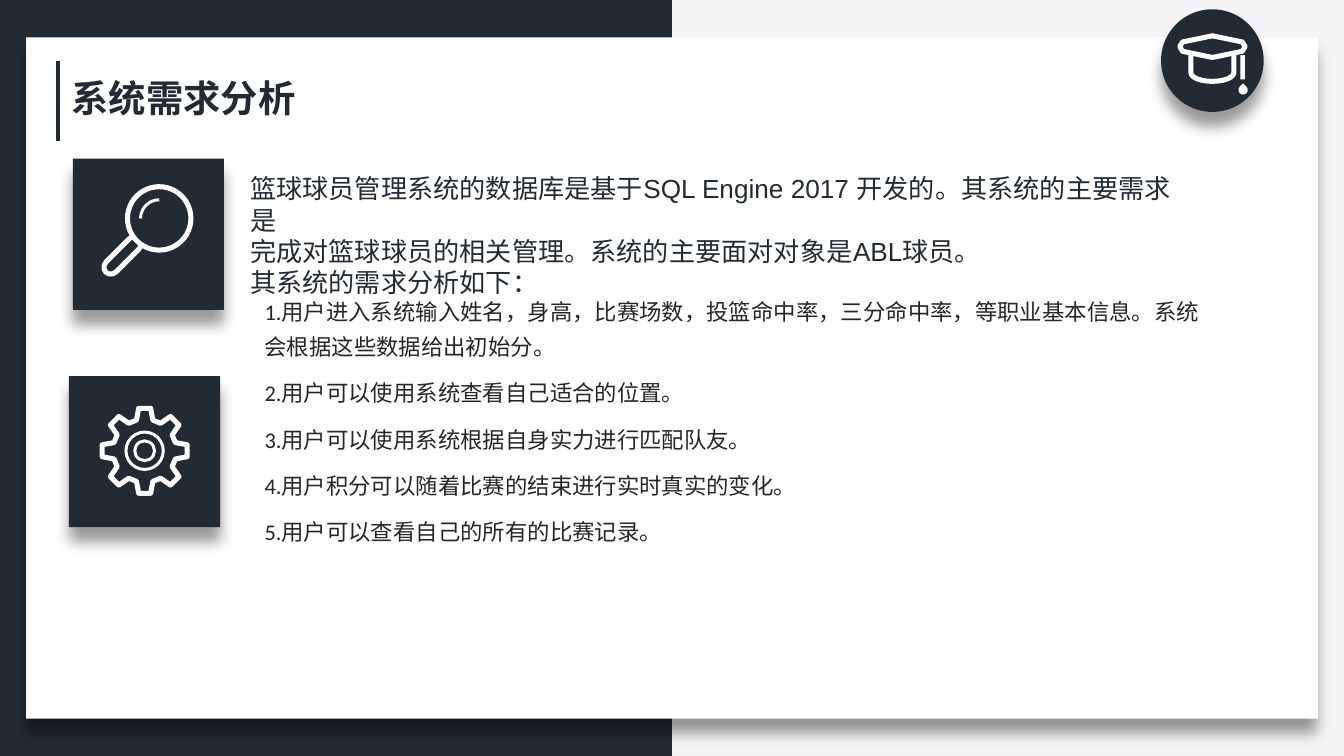
import math

import pptx
import pptx.dml.color
import pptx.enum.shapes
import pptx.enum.text
import pptx.oxml
import pptx.oxml.ns
import pptx.util

Pt = pptx.util.Pt
KIND = pptx.enum.shapes.MSO_SHAPE
NAVY = pptx.dml.color.RGBColor(0x22, 0x2B, 0x34)
PALE = pptx.dml.color.RGBColor(0xF6, 0xF4, 0xF7)
WHITE = pptx.dml.color.RGBColor(0xFF, 0xFF, 0xFF)
INK = pptx.dml.color.RGBColor(0x26, 0x26, 0x26)
HAN = "Noto Sans CJK SC"
SHADE = (
    '<a:outerShdw %s blurRad="%d" dist="%d" dir="5400000" algn="t" rotWithShape="0">'
    '<a:srgbClr val="000000"><a:alpha val="40000"/></a:srgbClr></a:outerShdw>'
    % (pptx.oxml.ns.nsdecls("a"), Pt(8), Pt(8))
)
TITLE = "系统需求分析"
INTRO = [
    "篮球球员管理系统的数据库是基于SQL Engine 2017 开发的。其系统的主要需求是",
    "完成对篮球球员的相关管理。系统的主要面对对象是ABL球员。",
    "其系统的需求分析如下：",
]
NEEDS = [
    "1.用户进入系统输入姓名，身高，比赛场数，投篮命中率，三分命中率，等职业基本信息。系统会根据这些数据给出初始分。",
    "2.用户可以使用系统查看自己适合的位置。",
    "3.用户可以使用系统根据自身实力进行匹配队友。",
    "4.用户积分可以随着比赛的结束进行实时真实的变化。",
    "5.用户可以查看自己的所有的比赛记录。",
]


def paint(shape, fill=None, line=None, width=2.7, shade=False):
    """Set the fill, line and shadow of a shape."""
    shape.shadow.inherit = False
    if fill is None:
        shape.fill.background()
    else:
        shape.fill.solid()
        shape.fill.fore_color.rgb = fill
    if line is None:
        shape.line.fill.background()
    else:
        shape.line.color.rgb = line
        shape.line.width = Pt(width)
    if shade:
        effects = shape.element.spPr.find(pptx.oxml.ns.qn("a:effectLst"))
        effects.append(pptx.oxml.parse_xml(SHADE))


def draw(slide, kind, x, y, w, h, turn=0, **look):
    """Add a preset shape in the given box."""
    shape = slide.shapes.add_shape(kind, Pt(x), Pt(y), Pt(w), Pt(h))
    shape.rotation = turn
    paint(shape, **look)


def ring(slide, kind, x, y, r, **look):
    """Add a round shape about a centre."""
    draw(slide, kind, x - r, y - r, 2 * r, 2 * r, line=WHITE, **look)


def trace(slide, x, y, dots, close):
    """Stroke an outline through dots set about a centre."""
    spots = [(Pt(x + dx), Pt(y + dy)) for dx, dy in dots]
    path = slide.shapes.build_freeform(*spots[0])
    path.add_line_segments(spots[1:], close=close)
    paint(path.convert_to_shape(), line=WHITE)


def write(shape, lines, size, font, color, bold=False, space=1, before=0):
    """Fill a text shape with one paragraph per line."""
    frame = shape.text_frame
    frame.word_wrap = True
    frame.auto_size = pptx.enum.text.MSO_AUTO_SIZE.NONE
    frame.text = "\n".join(lines)
    for para in frame.paragraphs:
        para.alignment = pptx.enum.text.PP_ALIGN.LEFT
        para.line_spacing = space
        para.space_before = Pt(before)
        props = para._p.get_or_add_pPr()
        props.set("marL", "0")
        props.set("indent", "0")
        props.append(pptx.oxml.parse_xml("<a:buNone %s/>" % pptx.oxml.ns.nsdecls("a")))
        for run in para.runs:
            run.font.size = Pt(size)
            run.font.name = font
            run.font.bold = bold
            run.font.color.rgb = color
            east = pptx.oxml.parse_xml(
                '<a:ea %s typeface="%s"/>' % (pptx.oxml.ns.nsdecls("a"), HAN))
            run.font._element.find(pptx.oxml.ns.qn("a:latin")).addnext(east)


def place(slide, shape, x, y, w, h):
    """Move a placeholder to a box and bring it to the front."""
    shape.left, shape.top, shape.width, shape.height = Pt(x), Pt(y), Pt(w), Pt(h)
    slide.shapes.element.append(shape.element)


def stage(slide, w, h):
    """Draw the two-tone ground and the white panel."""
    slide.background.fill.solid()
    slide.background.fill.fore_color.rgb = PALE
    draw(slide, KIND.RECTANGLE, 0, 0, w / 2, h, fill=NAVY)
    draw(slide, KIND.RECTANGLE, 14, 20, w - 28, h - 40, fill=WHITE, shade=True)


def badge(slide, x, y, size):
    """Draw the round badge with a scholar's cap."""
    draw(slide, KIND.OVAL, x, y, size, size, fill=NAVY, shade=True)
    x, y = x + size / 2, y + 20
    board = [(0, -5.8), (16, -2.5), (17.5, 0), (16, 2.5),
             (0, 5.8), (-16, 2.5), (-17.5, 0), (-16, -2.5)]
    turns = [math.radians(a) for a in range(0, 181, 15)]
    bowl = [(11.5 * math.cos(a), 14 + 4.6 * math.sin(a)) for a in turns]
    trace(slide, x, y, board, True)
    trace(slide, x, y, [(11.5, 4)] + bowl + [(-11.5, 4)], False)
    draw(slide, KIND.ROUNDED_RECTANGLE, x + 15, y + 4.5, 2.5, 13, fill=WHITE)
    draw(slide, KIND.TEAR, x + 14, y + 20.7, 5, 5, turn=315, fill=WHITE)


def search(slide, x, y, size):
    """Draw the tile with a magnifying glass."""
    draw(slide, KIND.RECTANGLE, x, y, size, size, fill=NAVY, shade=True)
    draw(slide, KIND.FLOWCHART_TERMINATOR, x + 14, y + 48, 25.5, 7.6,
         turn=315, line=WHITE)
    ring(slide, KIND.OVAL, x + 46.3, y + 32, 17, fill=NAVY)
    ring(slide, KIND.ARC, x + 46.3, y + 32, 10, turn=270, width=1.6)


def gear(slide, x, y, size):
    """Draw the tile with a gear of eight teeth."""
    draw(slide, KIND.RECTANGLE, x, y, size, size, fill=NAVY, shade=True)
    x, y = x + size / 2, y + size / 2 - 0.5
    tooth = [(-15, 17), (-8, 23), (8, 23), (15, 17)]
    dots = [(r * math.cos(math.radians(a + turn)), r * math.sin(math.radians(a + turn)))
            for turn in range(0, 360, 45) for a, r in tooth]
    trace(slide, x, y, dots, True)
    for r in (10, 5.3):
        ring(slide, KIND.OVAL, x, y, r, width=1.6)


def head(slide, x, y, w, h):
    """Place the title beside its upright bar."""
    bar = slide.shapes.add_connector(
        pptx.enum.shapes.MSO_CONNECTOR.STRAIGHT, Pt(x), Pt(y), Pt(x), Pt(y + h))
    bar.line.color.rgb = NAVY
    bar.line.width = Pt(2.25)
    bar.element.spPr.append(
        pptx.oxml.parse_xml("<a:effectLst %s/>" % pptx.oxml.ns.nsdecls("a")))
    title = slide.shapes.title
    place(slide, title, x, y + 3.5, w, 32)
    write(title, [TITLE], 20, HAN, NAVY, bold=True)


def intro(slide, x, y, w, h):
    """Place the opening text."""
    text = slide.shapes.add_textbox(Pt(x), Pt(y), Pt(w), Pt(h))
    write(text, INTRO, 14, "Arial", NAVY)


def needs(slide, x, y, w, h):
    """Place the list of needs."""
    body = slide.placeholders[1]
    place(slide, body, x, y, w, h)
    write(body, NEEDS, 12, "Calibri", INK, space=1.3, before=6)


def main():
    """Build and save the deck."""
    deck = pptx.Presentation()
    deck.slide_width, deck.slide_height = Pt(720), Pt(405)
    slide = deck.slides.add_slide(deck.slide_layouts[1])
    stage(slide, 720, 405)
    badge(slide, 622, 5, 55)
    head(slide, 31, 32.5, 136, 43)
    search(slide, 39, 85, 81)
    intro(slide, 127, 89, 518, 58)
    needs(slide, 134.5, 152, 521, 168)
    gear(slide, 37, 201.5, 81)
    deck.save("out.pptx")


if __name__ == "__main__":
    main()
